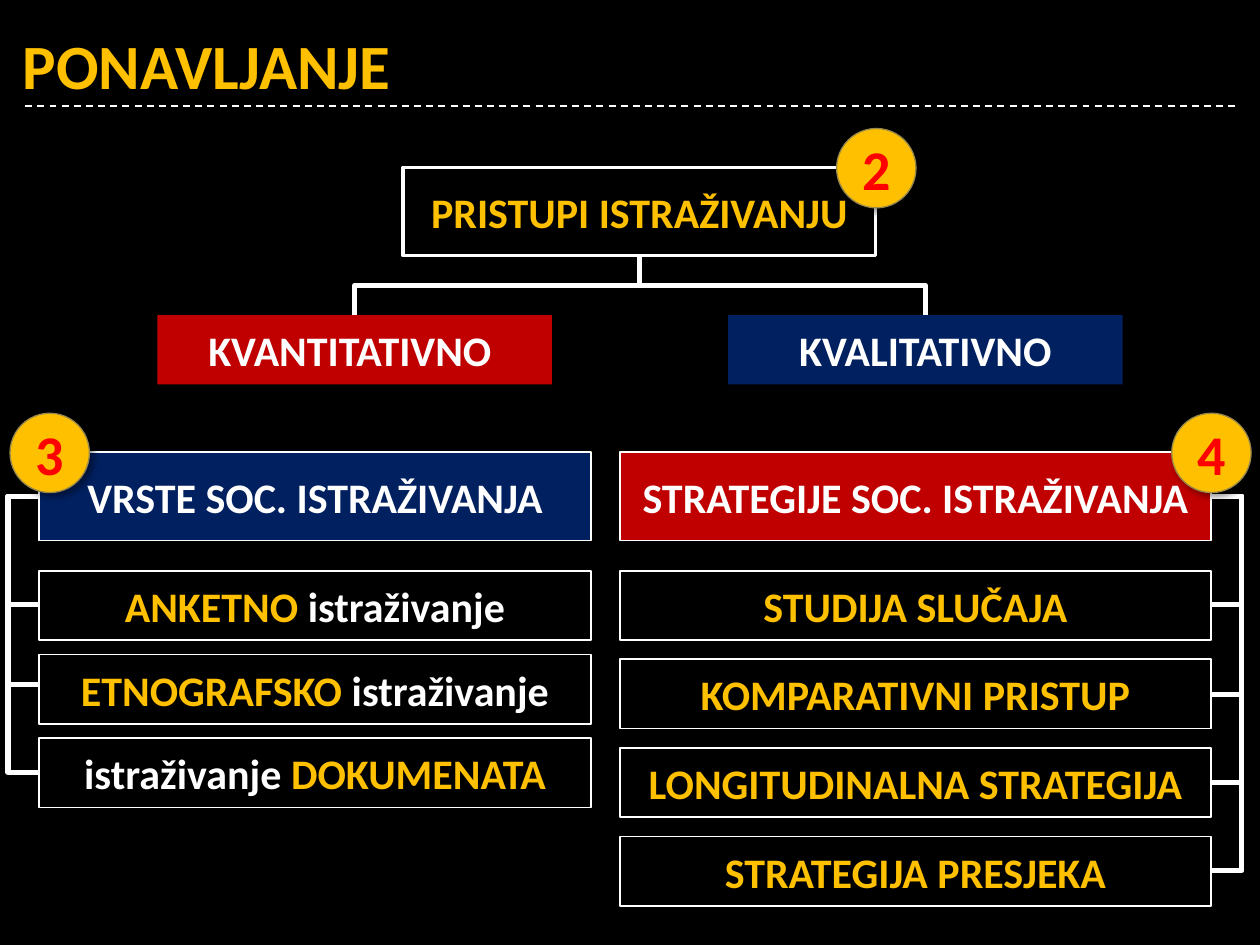
from lxml.etree import SubElement
from pptx import Presentation
from pptx.dml.color import RGBColor
from pptx.enum.dml import MSO_LINE
from pptx.enum.shapes import MSO_CONNECTOR, MSO_SHAPE
from pptx.enum.text import MSO_ANCHOR, PP_ALIGN
from pptx.oxml.ns import qn
from pptx.util import Inches, Pt

THEME = {
    "font": "Calibri", "title": 36, "label": 24, "number": 32,
    "black": "000000", "white": "FFFFFF", "gold": "FFC000", "red": "C00000",
    "blue": "002060", "digit": "FF0000", "rim": "98894B",
}

TITLE = "PONAVLJANJE"
# Labels are lists of (text, colour) parts.
ROOT = {"label": [("PRISTUPI ISTRAŽIVANJU", "gold")], "at": (3.2, 1.33, 3.75, 0.7)}
APPROACHES = [
    {"label": [("KVANTITATIVNO ", "white")], "fill": "red", "left": 1.25},
    {"label": [("KVALITATIVNO", "white")], "fill": "blue", "left": 5.78},
]
APPROACH_TOP, APPROACH_WIDTH = 2.5, 3.13
COLUMNS = [
    {"heading": [("VRSTE SOC. ISTRAŽIVANJA", "white")], "fill": "blue",
     "left": 0.31, "width": 4.38, "pitch": 0.665, "side": "left",
     "link_ends": [4.8, 5.43, 6.13],
     "items": [[("ANKETNO ", "gold"), ("istraživanje", "white")],
               [("ETNOGRAFSKO", "gold"), (" istraživanje", "white")],
               [("istraživanje ", "white"), ("DOKUMENATA", "gold")]]},
    {"heading": [("STRATEGIJE SOC. ISTRAŽIVANJA", "white")], "fill": "red",
     "left": 4.92, "width": 4.69, "pitch": 0.703, "side": "right",
     "link_ends": [4.8, 5.51, 6.21, 6.91],
     "items": [[("STUDIJA SLUČAJA", "gold")], [("KOMPARATIVNI PRISTUP", "gold")],
               [("LONGITUDINALNA STRATEGIJA", "gold")], [("STRATEGIJA PRESJEKA", "gold")]]},
]
HEADING_TOP, HEADING_HEIGHT = 3.59, 0.7
ITEM_TOP, BOX_HEIGHT = 4.53, 0.55
BADGES = [("2", 6.64, 1.02), ("3", 0.08, 3.28), ("4", 9.3, 3.28)]
BADGE_SIZE = 0.63
LINK_REACH, LINK_SPAN = 0.25, 0.01


def color(name):
    return RGBColor.from_string(THEME[name])


def style_font(paragraph, size):
    paragraph.font.name = THEME["font"]
    paragraph.font.size = Pt(THEME[size])
    paragraph.font.bold = True


def add_label_shape(slide, kind, at, label, fill, line, line_width, size="label"):
    shape = slide.shapes.add_shape(kind, *map(Inches, at))
    shape.shadow.inherit = False
    shape.fill.solid()
    shape.fill.fore_color.rgb = color(fill)
    if line:
        shape.line.color.rgb = color(line)
        shape.line.width = Pt(line_width)
    else:
        shape.line.fill.background()
    frame = shape.text_frame
    frame.word_wrap = True
    frame.vertical_anchor = MSO_ANCHOR.MIDDLE
    paragraph = frame.paragraphs[0]
    paragraph.alignment = PP_ALIGN.CENTER
    style_font(paragraph, size)
    for text, name in label:
        run = paragraph.add_run()
        run.text = text
        run.font.color.rgb = color(name)
    return shape


def add_box(slide, at, label, fill="black", line="white", line_width=1):
    return add_label_shape(slide, MSO_SHAPE.RECTANGLE, at, label, fill, line, line_width)


def add_line(slide, kind, start, end, width):
    line = slide.shapes.add_connector(kind, *map(Inches, (*start, *end)))
    line.line.color.rgb = color("white")
    line.line.width = Pt(width)
    SubElement(line._element.spPr, qn("a:effectLst"))
    return line


def add_side_link(slide, x, top, bottom, direction):
    """Bracket that leaves x sideways and comes back to it lower down."""
    link = add_line(slide, MSO_CONNECTOR.ELBOW, (x, top),
                    (x + direction * LINK_SPAN, bottom), 3)
    guides = link._element.spPr.find(qn("a:prstGeom")).get_or_add_avLst()
    SubElement(guides, qn("a:gd"), name="adj1",
               fmla=f"val {round(LINK_REACH / LINK_SPAN * 100000)}")


def add_tree_link(slide, start, end):
    """Elbow that runs down, across and down: a quarter-turned connector."""
    (x1, y1), (x2, y2) = start, end
    drop, spread = y2 - y1, abs(x2 - x1)
    left, top = (x1 + x2 - drop) / 2, (y1 + y2 - spread) / 2
    right, bottom = left + drop, top + spread
    if x2 > x1:
        corners, turn = ((right, top), (left, bottom)), 270
    else:
        corners, turn = ((left, top), (right, bottom)), 90
    link = add_line(slide, MSO_CONNECTOR.ELBOW, *corners, 3)
    link._element.spPr.find(qn("a:xfrm")).set("rot", str(turn * 60000))


def add_badge(slide, number, left, top):
    badge = add_label_shape(slide, MSO_SHAPE.OVAL, (left, top, BADGE_SIZE, BADGE_SIZE),
                            [(number, "digit")], "gold", "rim", 0.75, "number")
    effects = badge._element.spPr.find(qn("a:effectLst"))
    shadow = SubElement(effects, qn("a:outerShdw"), blurRad=str(Pt(4)), dist=str(Pt(3)),
                        dir=str(45 * 60000), rotWithShape="0")
    tint = SubElement(shadow, qn("a:srgbClr"), val=THEME["black"])
    SubElement(tint, qn("a:alpha"), val="40000")


def add_title(slide):
    title = slide.shapes.title
    title.left, title.top, title.width, title.height = map(Inches, (0.08, 0.16, 9.92, 0.7))
    title.text_frame.text = TITLE
    title.text_frame.vertical_anchor = MSO_ANCHOR.MIDDLE
    paragraph = title.text_frame.paragraphs[0]
    paragraph.alignment = PP_ALIGN.LEFT
    style_font(paragraph, "title")
    paragraph.font.color.rgb = color("gold")
    rule = add_line(slide, MSO_CONNECTOR.STRAIGHT, (0.2, 0.84), (9.8, 0.84), 1)
    rule.line.dash_style = MSO_LINE.DASH


def add_approaches(slide):
    left, top, width, height = ROOT["at"]
    add_box(slide, ROOT["at"], ROOT["label"], line_width=2)
    for approach in APPROACHES:
        add_box(slide, (approach["left"], APPROACH_TOP, APPROACH_WIDTH, BOX_HEIGHT),
                approach["label"], approach["fill"], line=None)
        add_tree_link(slide, (left + width / 2, top + height),
                      (approach["left"] + APPROACH_WIDTH / 2, APPROACH_TOP))


def add_column(slide, column):
    left, width = column["left"], column["width"]
    add_box(slide, (left, HEADING_TOP, width, HEADING_HEIGHT), column["heading"], column["fill"])
    for row, item in enumerate(column["items"]):
        top = ITEM_TOP + row * column["pitch"]
        box = add_box(slide, (left, top, width, BOX_HEIGHT), item)
        box.text_frame.margin_left = box.text_frame.margin_right = 0
    edge, direction = (left, -1) if column["side"] == "left" else (left + width, 1)
    for link_end in column["link_ends"]:
        add_side_link(slide, edge, HEADING_TOP + HEADING_HEIGHT / 2, link_end, direction)


def main():
    deck = Presentation()
    deck.slide_width, deck.slide_height = Inches(10), Inches(7.5)
    slide = deck.slides.add_slide(deck.slide_layouts[5])
    slide.background.fill.solid()
    slide.background.fill.fore_color.rgb = color("black")
    add_title(slide)
    add_approaches(slide)
    for column in COLUMNS:
        add_column(slide, column)
    for badge in BADGES:
        add_badge(slide, *badge)
    deck.save("out.pptx")


if __name__ == "__main__":
    main()
